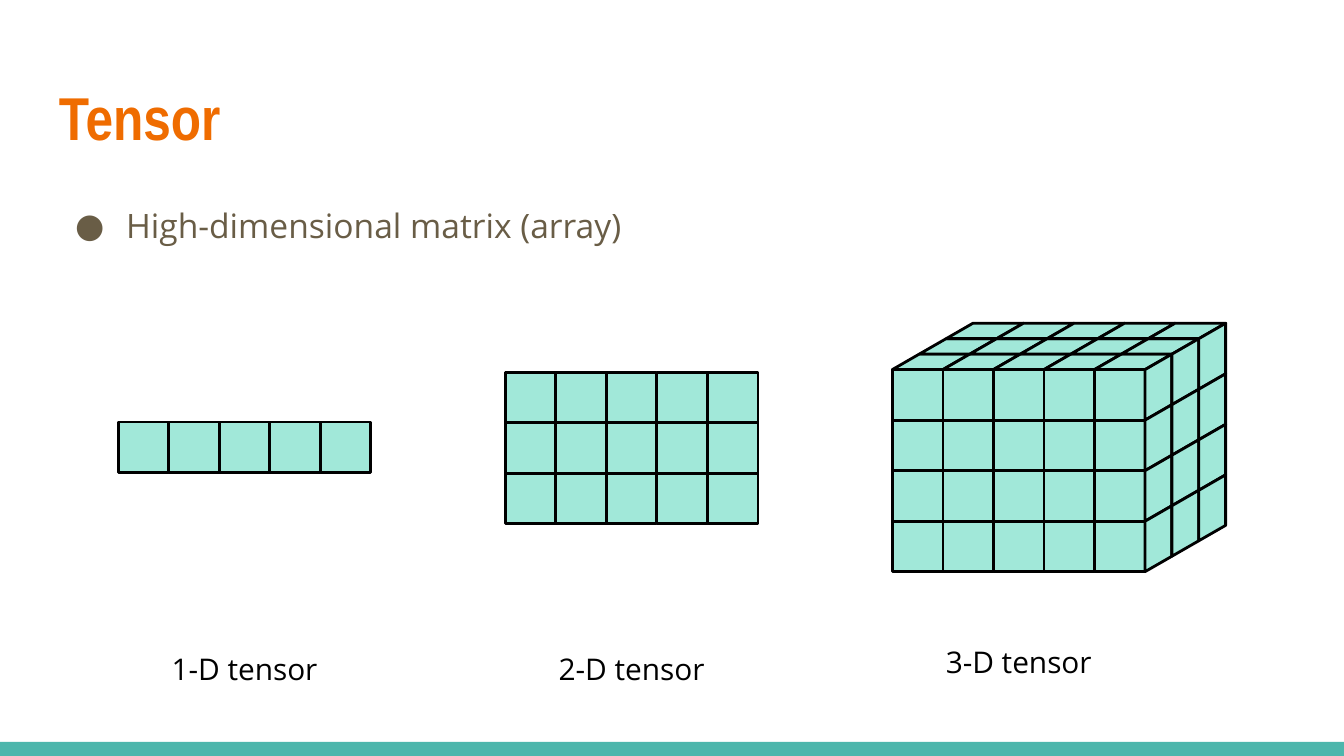
from itertools import product

from lxml.etree import SubElement
from pptx import Presentation
from pptx.dml.color import RGBColor
from pptx.enum.shapes import MSO_SHAPE as Shape
from pptx.enum.text import MSO_ANCHOR as Anchor, PP_ALIGN as Align
from pptx.oxml.ns import qn
from pptx.util import Inches, Pt

THEME = {
    "title": ("Arial Narrow", 32.4, "EF6C00", True),
    "body": ("Open Sans", 18, "695D46", False),
    "label": ("Open Sans", 16, "000000", False),
    "cell": "A1E8D9",
    "outline": "000000",
    "bar": "4DB6AC",
}

TITLE = ("Tensor", (0.34, 0.48, 9.32, 0.77))
BULLET = ("High-dimensional matrix (array)", (0.34, 1.38, 9.32, 0.77))
TENSORS = [
    {"label": "1-D tensor", "left": 0.88, "top": 3.14, "rows": 1, "layers": 0, "label_top": 4.74},
    {"label": "2-D tensor", "left": 3.76, "top": 2.77, "rows": 3, "layers": 0, "label_top": 4.74},
    {"label": "3-D tensor", "left": 6.64, "top": 2.75, "rows": 4, "layers": 3, "label_top": 4.69},
]

SLIDE_WIDTH = 10
SLIDE_HEIGHT = SLIDE_WIDTH * 9 / 16
BAR_TOP = 5.52
COLUMNS = 5
FRONT_WIDTH = 1.88
CELL = FRONT_WIDTH / COLUMNS
LABEL_HEIGHT = 0.47
DEPTH_X, DEPTH_Y = 0.2, 0.115  # shift of one layer to the right and upwards


def add_filled(shapes, kind, area, fill, outline=None):
    shape = shapes.add_shape(kind, *map(Inches, area))
    shape.shadow.inherit = False
    shape.fill.solid()
    shape.fill.fore_color.rgb = RGBColor.from_string(fill)
    if outline:
        shape.line.color.rgb = RGBColor.from_string(outline)
        shape.line.width = Pt(1.5)
    else:
        shape.line.fill.background()
    return shape


def add_cell(group, kind, left, top, width, height):
    return add_filled(group.shapes, kind, (left, top, width, height),
                      THEME["cell"], THEME["outline"])


def add_text(page, text, area, style, align=Align.LEFT, anchor=Anchor.TOP):
    box = page.shapes.add_textbox(*map(Inches, area))
    frame = box.text_frame
    frame.word_wrap = True
    frame.vertical_anchor = anchor
    frame.margin_left = frame.margin_right = Inches(0.1)
    frame.margin_top = frame.margin_bottom = Inches(0.1)
    para = frame.paragraphs[0]
    para.alignment = align
    span = para.add_run()
    span.text = text
    name, size, color, bold = THEME[style]
    span.font.name = name
    span.font.size = Pt(size)
    span.font.bold = bold
    span.font.color.rgb = RGBColor.from_string(color)
    return para


def add_bullet(para, style):
    name, _, color, _ = THEME[style]
    para.line_spacing = 1.15
    properties = para._p.get_or_add_pPr()
    properties.set("marL", str(Inches(0.5)))
    properties.set("indent", str(Inches(-0.38)))
    bullet_color = SubElement(properties, qn("a:buClr"))
    SubElement(bullet_color, qn("a:srgbClr"), val=color)
    SubElement(properties, qn("a:buFont"), typeface=name)
    SubElement(properties, qn("a:buChar"), char="●")


def add_top_face(group, left, top, layers):
    for layer, column in product(range(layers), range(COLUMNS)):
        cell = add_cell(group, Shape.PARALLELOGRAM,
                        left + column * CELL + layer * DEPTH_X,
                        top - (layer + 1) * DEPTH_Y,
                        CELL + DEPTH_X, DEPTH_Y)
        cell.adjustments[0] = DEPTH_X / DEPTH_Y


def add_side_face(group, left, top, rows, layers):
    """Draw the right face from mirrored parallelograms turned by 90 degrees."""
    length = CELL + DEPTH_Y
    for row, layer in product(range(rows), range(layers)):
        center_x = left + FRONT_WIDTH + (layer + 0.5) * DEPTH_X
        center_y = top + (row + 0.5) * CELL - (layer + 0.5) * DEPTH_Y
        cell = add_cell(group, Shape.PARALLELOGRAM, center_x - length / 2,
                        center_y - DEPTH_X / 2, length, DEPTH_X)
        cell.adjustments[0] = DEPTH_Y / DEPTH_X
        cell.rotation = 90
        cell._element.spPr.get_or_add_xfrm().set("flipH", "1")


def add_tensor(page, tensor):
    left, top = tensor["left"], tensor["top"]
    rows, layers = tensor["rows"], tensor["layers"]
    group = page.shapes.add_group_shape()
    for row, column in product(range(rows), range(COLUMNS)):
        add_cell(group, Shape.RECTANGLE, left + column * CELL, top + row * CELL, CELL, CELL)
    add_top_face(group, left, top, layers)
    add_side_face(group, left, top, rows, layers)


def main():
    deck = Presentation()
    deck.slide_width, deck.slide_height = Inches(SLIDE_WIDTH), Inches(SLIDE_HEIGHT)
    page = deck.slides.add_slide(deck.slide_layouts[6])

    add_filled(page.shapes, Shape.RECTANGLE,
               (0, BAR_TOP, SLIDE_WIDTH, SLIDE_HEIGHT - BAR_TOP), THEME["bar"])
    add_text(page, *TITLE, "title", anchor=Anchor.MIDDLE)
    add_bullet(add_text(page, *BULLET, "body"), "body")

    for tensor in TENSORS:
        add_tensor(page, tensor)
    for tensor in TENSORS:
        area = (tensor["left"], tensor["label_top"], FRONT_WIDTH, LABEL_HEIGHT)
        add_text(page, tensor["label"], area, "label", align=Align.CENTER)

    deck.save("out.pptx")


if __name__ == "__main__":
    main()
